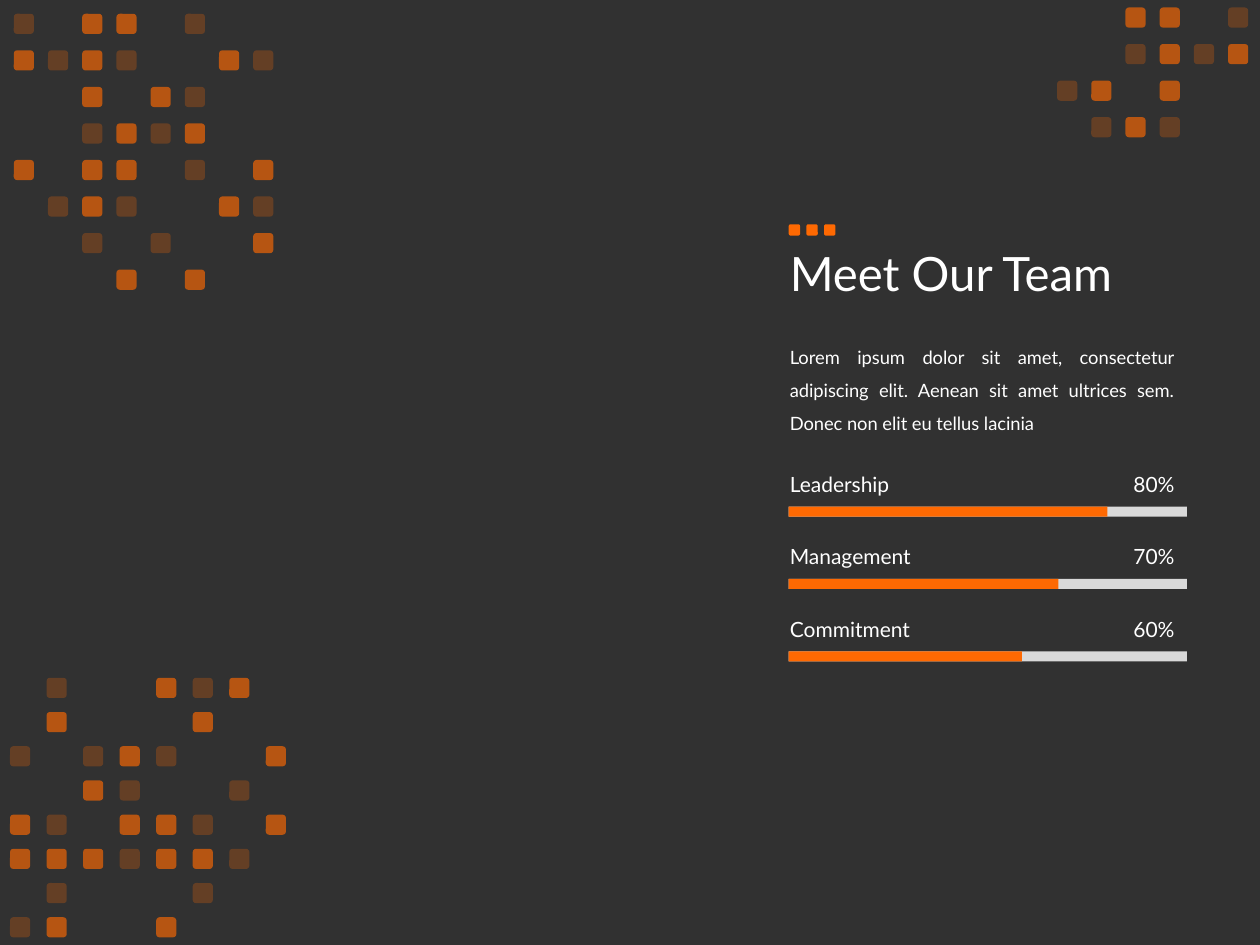
import pptx
import pptx.dml.color
import pptx.enum.shapes
import pptx.enum.text
import pptx.oxml.ns
import pptx.util
from lxml import etree

Inches = pptx.util.Inches
Shape = pptx.enum.shapes.MSO_SHAPE
Align = pptx.enum.text.PP_ALIGN
Anchor = pptx.enum.text.MSO_ANCHOR
AutoSize = pptx.enum.text.MSO_AUTO_SIZE

# Tile patterns: "#" is a strong tile, "o" a faint one, "." a gap
OPACITY = {"#": 65, "o": 25}
TOP_LEFT = ["o.##.o..", "#o#o..#o", "..#.#o..", "..o#o#..",
            "#.##.o.#", ".o#o..#o", "..o.o..#", "...#.#.."]
BOTTOM_LEFT = [".o..#o#.", ".#...#..", "o.o#o..#", "..#o..o.",
               "#o.##o.#", "###o##o.", ".o...o..", "o#..#..."]
TOP_RIGHT = ["..##.o", "..o#o#", "o#.#..", ".o#o.."]
NARROW_STEP = 1.9 / 7
WIDE_STEP = 0.29

# Skill name, percentage label, length of the filled bar
SKILLS = [("Leadership", "80%", 2.53),
          ("Management", "70%", 2.14),
          ("Commitment", "60%", 1.85)]
SKILL_STEP = 1.15 / 2


def colour(code):
    return pptx.dml.color.RGBColor.from_string(code)


class SlideBuilder:
    font = "Lato"
    background = "313131"
    white = "FFFFFF"
    accent = "FE6902"
    track = "D9D9D9"

    def __init__(self, page):
        self.page = page
        page.background.fill.solid()
        page.background.fill.fore_color.rgb = colour(self.background)

    def block(self, shapes, kind, left, top, width, height, fill, opacity=100):
        shape = shapes.add_shape(kind, Inches(left), Inches(top),
                                 Inches(width), Inches(height))
        shape.shadow.inherit = False
        shape.line.fill.background()
        shape.fill.solid()
        shape.fill.fore_color.rgb = colour(fill)
        if opacity < 100:
            tint = shape.fill._xPr.find(".//" + pptx.oxml.ns.qn("a:srgbClr"))
            etree.SubElement(tint, pptx.oxml.ns.qn("a:alpha"),
                             val=str(opacity * 1000))

    def tiles(self, pattern, left, top, step_x, step_y):
        group = self.page.shapes.add_group_shape()
        for row, marks in enumerate(pattern):
            for column, mark in enumerate(marks):
                if mark in OPACITY:
                    self.block(group.shapes, Shape.ROUNDED_RECTANGLE,
                               left + column * step_x, top + row * step_y,
                               0.16, 0.16, self.accent, OPACITY[mark])

    def dots(self, left, top, count):
        group = self.page.shapes.add_group_shape()
        for index in range(count):
            self.block(group.shapes, Shape.ROUNDED_RECTANGLE,
                       left + index * 0.14, top, 0.09, 0.09, self.accent)

    def text(self, words, left, top, width, height, size, align=Align.LEFT,
             anchor=Anchor.MIDDLE, spacing=1.0, grow=True):
        box = self.page.shapes.add_textbox(Inches(left), Inches(top),
                                           Inches(width), Inches(height))
        frame = box.text_frame
        frame.word_wrap = True
        frame.auto_size = AutoSize.SHAPE_TO_FIT_TEXT if grow else AutoSize.NONE
        frame.vertical_anchor = anchor
        para = frame.paragraphs[0]
        para.text = words
        para.alignment = align
        para.line_spacing = spacing
        para.font.name = self.font
        para.font.size = pptx.util.Pt(size)
        para.font.color.rgb = colour(self.white)

    def skill(self, name, percent, length, top):
        self.text(name, 6.17, top, 1.55, 0.3, 12)
        self.text(percent, 8.63, top, 0.79, 0.3, 12, Align.RIGHT)
        for width, fill in ((3.16, self.track), (length, self.accent)):
            self.block(self.page.shapes, Shape.RECTANGLE,
                       6.26, top + 0.33, width, 0.08, fill)


def main():
    deck = pptx.Presentation()
    deck.slide_width = Inches(10)
    deck.slide_height = Inches(7.5)
    builder = SlideBuilder(deck.slides.add_slide(deck.slide_layouts[6]))

    # Corner tiles on the left
    builder.tiles(TOP_LEFT, 0.11, 0.11, NARROW_STEP, WIDE_STEP)
    builder.tiles(BOTTOM_LEFT, 0.08, 5.38, WIDE_STEP, NARROW_STEP)

    # Title and introduction
    builder.text("Meet Our Team", 6.17, 1.47, 3.7, 1.45, 27,
                 spacing=0.9, grow=False)
    builder.text("Lorem ipsum dolor sit amet, consectetur adipiscing elit. "
                 "Aenean sit amet ultrices sem. Donec non elit eu tellus "
                 "lacinia", 6.17, 2.61, 3.25, 0.86, 10.5,
                 Align.JUSTIFY, Anchor.TOP, 1.5)

    # Skill bars
    for index, (name, percent, length) in enumerate(SKILLS):
        builder.skill(name, percent, length, 3.69 + index * SKILL_STEP)

    # Corner tiles on the right and dots above the title
    builder.tiles(TOP_RIGHT, 8.39, 0.06, NARROW_STEP, WIDE_STEP)
    builder.dots(6.26, 1.78, 3)

    deck.save("out.pptx")


if __name__ == "__main__":
    main()
